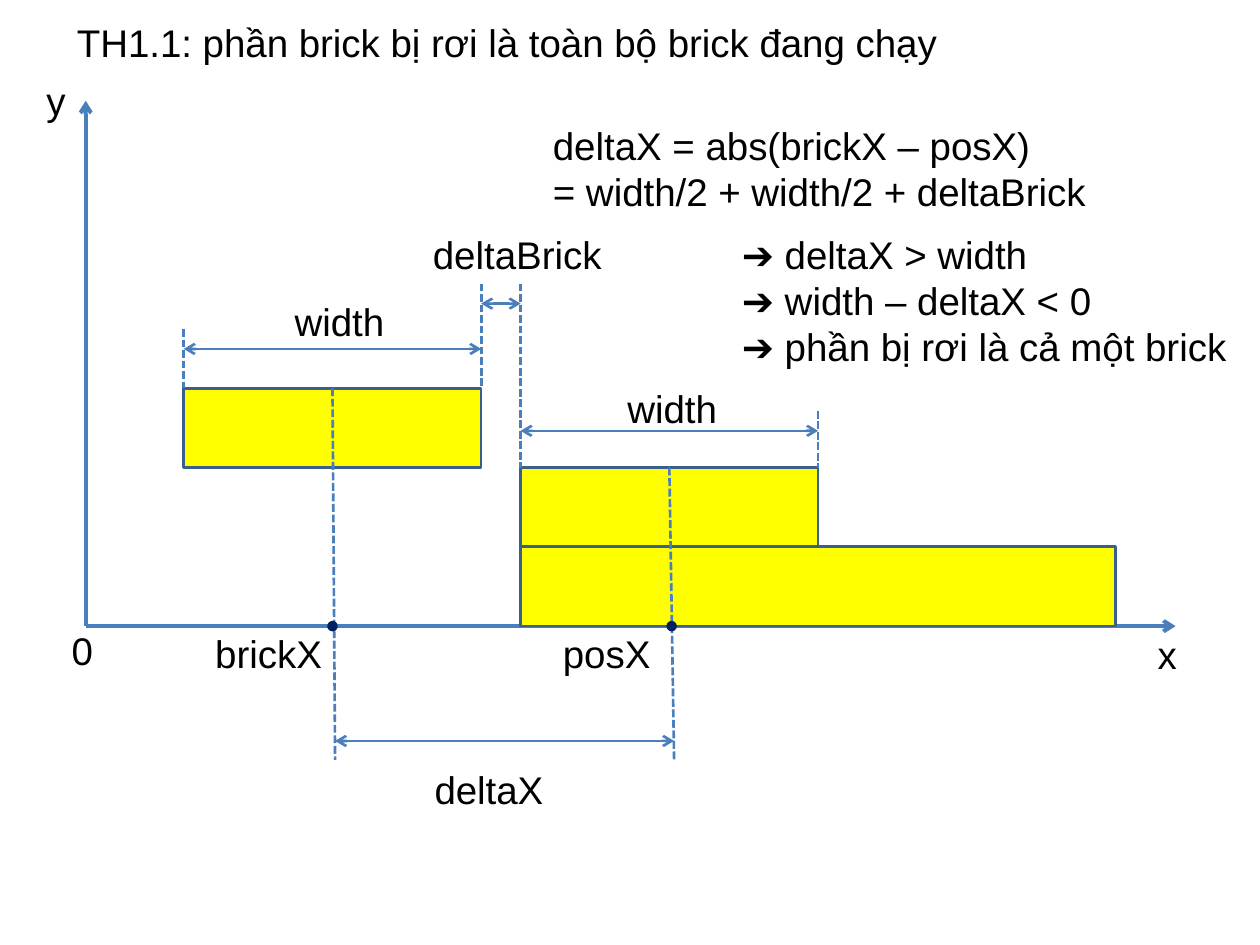
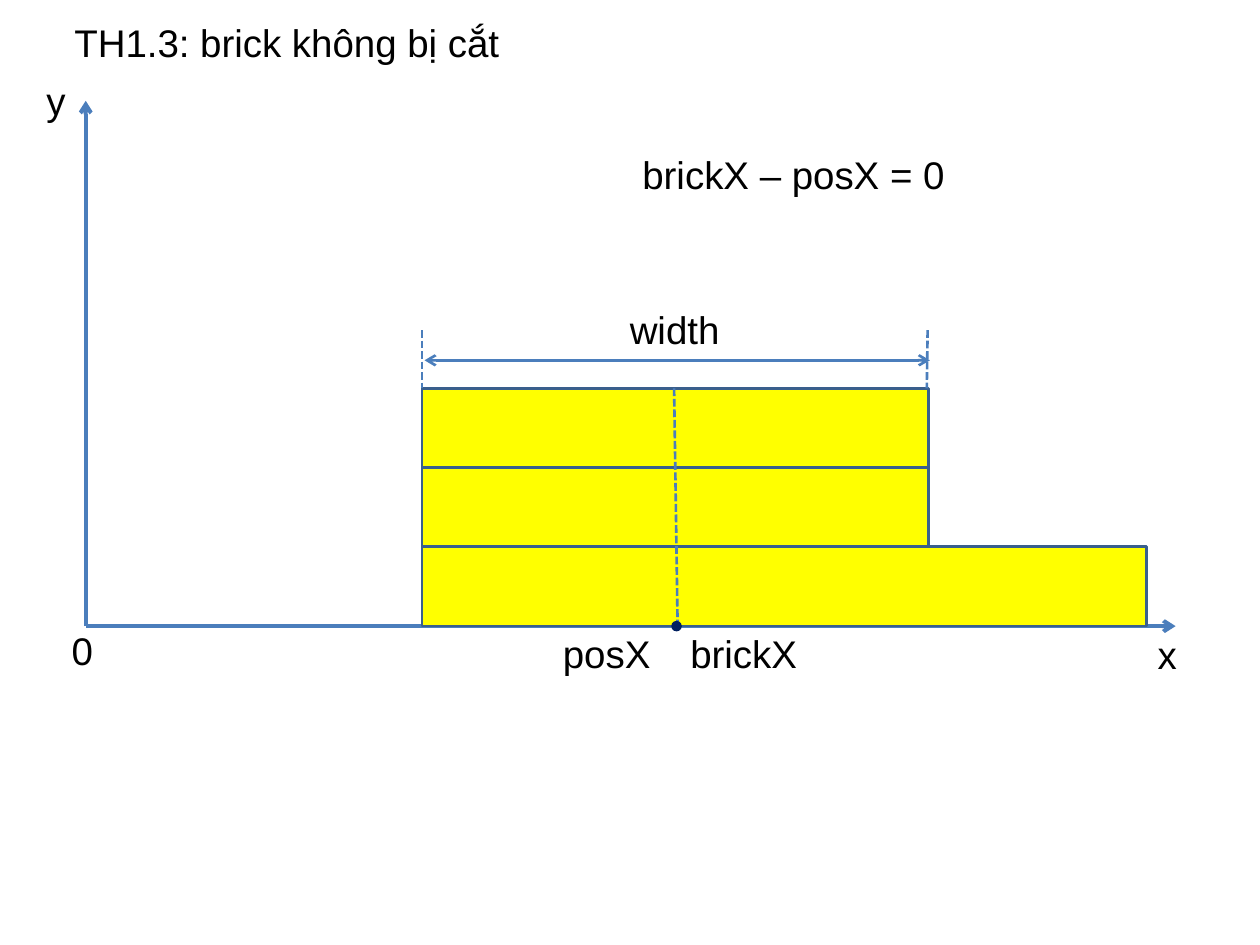
import pptx
import pptx.util
import pptx.dml.color
import pptx.enum.dml
import pptx.enum.shapes
import pptx.enum.text
import pptx.oxml
import pptx.oxml.ns
from dataclasses import dataclass

Pt = pptx.util.Pt
SHAPE = pptx.enum.shapes.MSO_SHAPE
ALIGN = pptx.enum.text.PP_ALIGN


@dataclass(frozen=True)
class Theme:
    font: str = "Arial"
    text_size: float = 22
    text: str = "000000"
    brick: str = "FFFF00"
    brick_edge: str = "3A5F8C"
    stroke: str = "4B7EBC"
    dot: str = "002060"
    axis_width: float = 2.25
    line_width: float = 1.5


THEME = Theme()

# Shared geometry, in points
ORIGIN_X, GROUND = 49, 357.8
AXIS_TOP, AXIS_RIGHT = 57.6, 671.8
BRICK_HEIGHT = 45.3
DOT_SIZE = 6
LINE_HEIGHT, TEXT_PADDING = 26.6, 7.2
TITLE_TOP = 7.2
POSITION_TOP = 356.4  # top of the names under the x axis

# Axis names: text, left, top, width
AXIS_LABELS = [
    ("x", 654.5, 357.1, 28),
    ("y", 19.4, 40.3, 28),
    ("0", 33.8, 355, 35.3),
]

# Content
# bricks: left, width, level above ground    guides: from x, y, to x, y
# measures: from x, to x, y                  dots: centre x
# labels: text, left, top, width, alignment
WIDTH = 170
RUNNING, STACKED = 105, 297.5
RUNNING_END, STACKED_END = RUNNING + WIDTH, STACKED + WIDTH
TALL = 289.4
TALL_LEFT = 241.2
TALL_END = TALL_LEFT + TALL


def level_top(level):
    return GROUND - (level + 1) * BRICK_HEIGHT


SLIDES = [
    {
        "title": ("TH1.1: phần brick bị rơi là toàn bộ brick đang chạy", 36.7, 680),
        "bricks": [(STACKED, 2 * WIDTH, 0), (STACKED, WIDTH, 1), (RUNNING, WIDTH, 2)],
        "guides": [
            (RUNNING, 188, RUNNING, level_top(2)),
            (RUNNING_END, 162, RUNNING_END, level_top(2)),
            (STACKED, 162, STACKED, level_top(1)),
            (STACKED_END, 234.7, STACKED_END, level_top(1)),
            (RUNNING + WIDTH / 2, level_top(2), 191.5, 434.2),
            (STACKED + WIDTH / 2, level_top(1), 385.2, 434.2),
        ],
        "measures": [
            (RUNNING, RUNNING_END, 199.4),
            (STACKED, STACKED_END, 246.2),
            (RUNNING_END, STACKED, 173.5),
            (191.5, 385.2, 423.4),
        ],
        "dots": [190, 383.8],
        "labels": [
            ("brickX", 115.9, POSITION_TOP, 90.7, ALIGN.LEFT),
            ("posX", 314.6, POSITION_TOP, 90.7, ALIGN.LEFT),
            ("width", 161.3, 167, 67.7, ALIGN.LEFT),
            ("width", 351.4, 216.7, 67.7, ALIGN.LEFT),
            ("deltaX", 241.2, 434.2, 414, ALIGN.LEFT),
            ("deltaBrick", 229.7, 128.2, 131.8, ALIGN.CENTER),
            ("deltaX = abs(brickX – posX)\n= width/2 + width/2 + deltaBrick",
             308.9, 66.2, 391, ALIGN.LEFT),
            ("➔ deltaX > width\n➔ width – deltaX < 0\n➔ phần bị rơi là cả một brick",
             416.9, 128.2, 303, ALIGN.LEFT),
        ],
    },
    {
        "title": ("TH1.3: brick không bị cắt", 35.3, 360),
        "bricks": [(TALL_LEFT, 414, 0), (TALL_LEFT, TALL, 1), (TALL_LEFT, TALL, 2)],
        "guides": [
            (TALL_LEFT, 188.6, TALL_LEFT, level_top(2)),
            (TALL_END - 0.5, 188.6, TALL_END - 1, level_top(2)),
            (385.2, level_top(2), 387.2, 355.7),
        ],
        "measures": [(242.6, 531.4, 205.9)],
        "dots": [386.6],
        "labels": [
            ("width", 352.8, 171.4, 67.7, ALIGN.LEFT),
            ("brickX", 387.4, POSITION_TOP, 90.7, ALIGN.LEFT),
            ("posX", 314.6, POSITION_TOP, 90.7, ALIGN.LEFT),
            ("brickX – posX = 0", 360, 82.8, 360, ALIGN.LEFT),
        ],
    },
]


def rgb(value):
    return pptx.dml.color.RGBColor.from_string(value)


def write(frame, text, *, align=ALIGN.LEFT, size=THEME.text_size, color=THEME.text):
    """Fill a text frame, one paragraph for each line of text."""
    frame.text = text
    frame.word_wrap = True
    frame.auto_size = pptx.enum.text.MSO_AUTO_SIZE.SHAPE_TO_FIT_TEXT
    frame.vertical_anchor = pptx.enum.text.MSO_ANCHOR.TOP
    for paragraph in frame.paragraphs:
        paragraph.alignment = align
        for run in paragraph.runs:
            run.font.name = THEME.font
            run.font.size = Pt(size)
            run.font.color.rgb = rgb(color)


def text_height(text):
    return LINE_HEIGHT * len(text.split("\n")) + TEXT_PADDING


def add_title(slide, text, left, width):
    title = slide.shapes.title
    title.left, title.top = Pt(left), Pt(TITLE_TOP)
    title.width, title.height = Pt(width), Pt(text_height(text))
    write(title.text_frame, text)


def add_label(slide, text, left, top, width, align=ALIGN.LEFT):
    label = slide.shapes.add_textbox(Pt(left), Pt(top), Pt(width), Pt(text_height(text)))
    write(label.text_frame, text, align=align)


def add_solid(slide, kind, left, top, width, height, fill, edge=None):
    solid = slide.shapes.add_shape(kind, Pt(left), Pt(top), Pt(width), Pt(height))
    solid.shadow.inherit = False
    solid.fill.solid()
    solid.fill.fore_color.rgb = rgb(fill)
    if edge:
        solid.line.color.rgb = rgb(edge)
        solid.line.width = Pt(THEME.line_width)
    else:
        solid.line.fill.background()


def add_line(slide, x1, y1, x2, y2, *, width=THEME.line_width, dashed=False, ends=()):
    connector = slide.shapes.add_connector(
        pptx.enum.shapes.MSO_CONNECTOR.STRAIGHT, Pt(x1), Pt(y1), Pt(x2), Pt(y2))
    connector.line.color.rgb = rgb(THEME.stroke)
    connector.line.width = Pt(width)
    if dashed:
        connector.line.dash_style = pptx.enum.dml.MSO_LINE.SQUARE_DOT
    properties = connector.element.spPr
    outline = properties.find(pptx.oxml.ns.qn("a:ln"))
    namespace = pptx.oxml.ns.nsdecls("a")
    for end in ends:
        outline.append(pptx.oxml.parse_xml(f'<a:{end} {namespace} type="arrow"/>'))
    properties.append(pptx.oxml.parse_xml(f"<a:effectLst {namespace}/>"))


def add_axes(slide):
    for x, y in [(ORIGIN_X, AXIS_TOP), (AXIS_RIGHT, GROUND)]:
        add_line(slide, ORIGIN_X, GROUND, x, y, width=THEME.axis_width, ends=["tailEnd"])
    for label in AXIS_LABELS:
        add_label(slide, *label)


def build_slide(deck, content):
    slide = deck.slides.add_slide(deck.slide_layouts.get_by_name("Title Only"))
    add_title(slide, *content["title"])
    add_axes(slide)
    for left, width, level in content["bricks"]:
        add_solid(slide, SHAPE.RECTANGLE, left, level_top(level), width, BRICK_HEIGHT,
                  THEME.brick, THEME.brick_edge)
    for guide in content["guides"]:
        add_line(slide, *guide, dashed=True)
    for start, end, y in content["measures"]:
        add_line(slide, start, y, end, y, ends=["headEnd", "tailEnd"])
    for label in content["labels"]:
        add_label(slide, *label)
    for centre in content["dots"]:
        add_solid(slide, SHAPE.OVAL, centre - DOT_SIZE / 2, GROUND - DOT_SIZE / 2,
                  DOT_SIZE, DOT_SIZE, THEME.dot)


deck = pptx.Presentation()
deck.slide_width, deck.slide_height = Pt(720), Pt(540)
for content in SLIDES:
    build_slide(deck, content)
deck.save("out.pptx")
